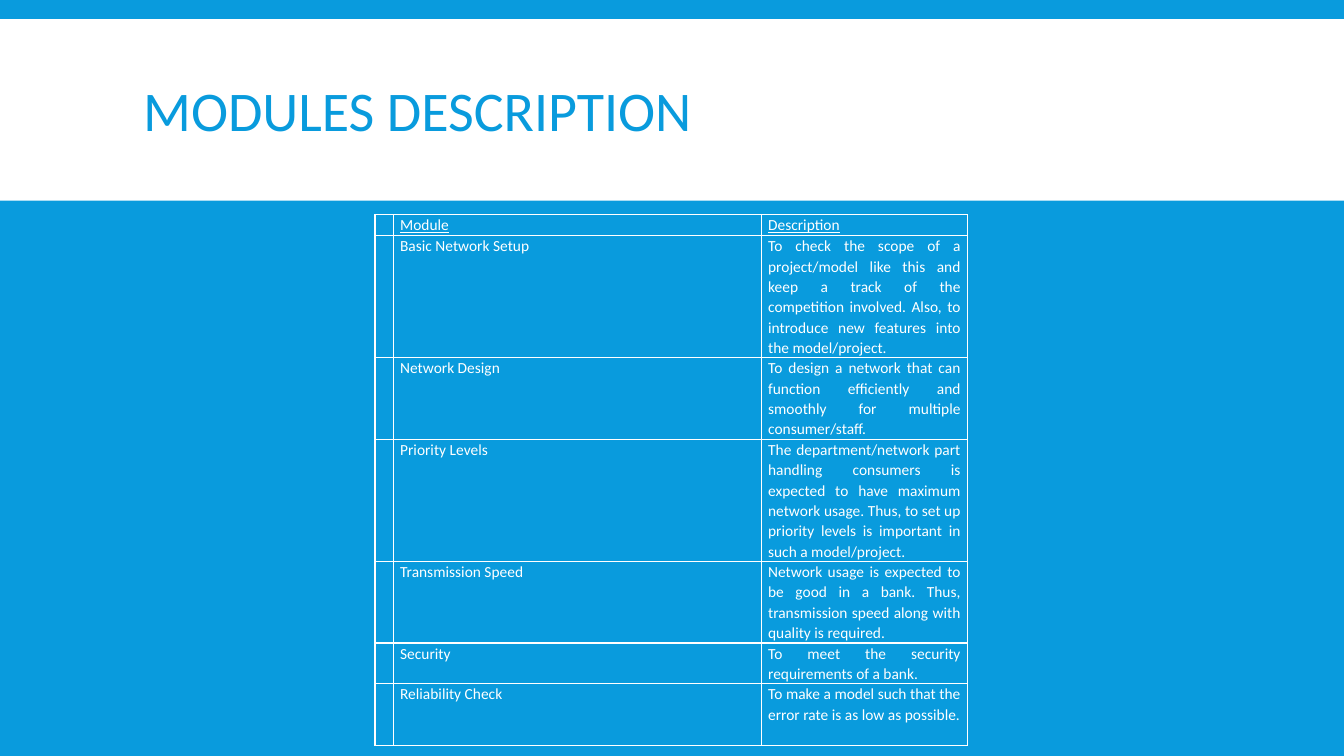
from lxml import etree
from pptx import Presentation
from pptx.dml.color import RGBColor
from pptx.enum.shapes import MSO_SHAPE
from pptx.enum.text import MSO_ANCHOR, PP_ALIGN
from pptx.oxml.ns import qn
from pptx.util import Inches, Pt

RECTANGLE = MSO_SHAPE.RECTANGLE
MIDDLE = MSO_ANCHOR.MIDDLE
LEFT, JUSTIFY = PP_ALIGN.LEFT, PP_ALIGN.JUSTIFY
BLUE = RGBColor(0x09, 0x9B, 0xDD)
WHITE = RGBColor(0xFF, 0xFF, 0xFF)
FONT = "Calibri"
BODY_SIZE = 11

COLUMN_WIDTHS = [0.16, 3.65, 2.05]
ROW_HEIGHTS = [0.21, 1.21, 0.81, 1.21, 0.81, 0.4, 0.61]
MODULES = [
    ("Module", "Description"),
    ("Basic Network Setup",
     "To check the scope of a project/model like this and keep a track of the "
     "competition involved. Also, to introduce new features into the model/project."),
    ("Network Design",
     "To design a network that can function efficiently and smoothly for multiple "
     "consumer/staff."),
    ("Priority Levels",
     "The department/network part handling consumers is expected to have maximum "
     "network usage. Thus, to set up priority levels is important in such a "
     "model/project."),
    ("Transmission Speed",
     "Network usage is expected to be good in a bank. Thus, transmission speed along "
     "with quality is required."),
    ("Security", "To meet the security requirements of a bank."),
    ("Reliability Check",
     "To make a model such that the error rate is as low as possible."),
]


def write_text(frame, text, size=BODY_SIZE, color=WHITE, align=JUSTIFY,
               spacing=1.07, underline=False):
    para = frame.paragraphs[0]
    para.alignment = align
    para.line_spacing = spacing
    if not text:
        # An empty cell still needs a small size, so that its row stays low
        etree.SubElement(para._p, qn("a:endParaRPr"), sz=str(size * 100))
        return
    span = para.add_run()
    span.text = text
    span.font.name = FONT
    span.font.size = Pt(size)
    span.font.color.rgb = color
    span.font.underline = underline


class SlideBuilder:
    def __init__(self, deck, background):
        self.page = deck.slides.add_slide(deck.slide_layouts[5])
        self.page.background.fill.solid()
        self.page.background.fill.fore_color.rgb = background

    def band(self, left, top, width, height, color):
        box = self.page.shapes.add_shape(
            RECTANGLE, Inches(left), Inches(top), Inches(width), Inches(height))
        box.shadow.inherit = False
        box.fill.solid()
        box.fill.fore_color.rgb = color
        box.line.fill.background()
        # Place the band behind the title
        self.page.shapes._spTree.insert(2, box._element)

    def title(self, text, left, top, width, height):
        box = self.page.shapes.title
        box.left, box.top = Inches(left), Inches(top)
        box.width, box.height = Inches(width), Inches(height)
        box.text_frame.word_wrap = True
        box.text_frame.vertical_anchor = MIDDLE
        write_text(box.text_frame, text, size=40, color=BLUE, align=LEFT, spacing=0.85)

    def table(self, left, top, widths, heights, rows):
        table = self.page.shapes.add_table(
            len(heights), len(widths), Inches(left), Inches(top),
            Inches(sum(widths)), Inches(sum(heights))).table
        table.first_row = table.horz_banding = False
        for column, width in zip(table.columns, widths):
            column.width = Inches(width)
        for index, (row, height, texts) in enumerate(zip(table.rows, heights, rows)):
            row.height = Inches(height)
            for cell, text in zip(row.cells, ("", *texts)):
                cell.margin_left = cell.margin_right = Inches(0.07)
                cell.margin_top = cell.margin_bottom = 0
                cell.fill.background()
                self.borders(cell, WHITE, 1)
                write_text(cell.text_frame, text, underline=index == 0)

    def borders(self, cell, color, width):
        properties = cell._tc.get_or_add_tcPr()
        for index, side in enumerate(("lnL", "lnR", "lnT", "lnB")):
            line = etree.Element(qn(f"a:{side}"), w=str(Pt(width)))
            fill = etree.SubElement(line, qn("a:solidFill"))
            etree.SubElement(fill, qn("a:srgbClr"), val=str(color))
            properties.insert(index, line)


def main():
    deck = Presentation()
    deck.slide_width, deck.slide_height = Inches(13.33), Inches(7.5)
    builder = SlideBuilder(deck, BLUE)

    # Heading
    builder.band(0, 0.19, 13.33, 1.8, WHITE)
    builder.title("MODULES DESCRIPTION", 1.32, 0.31, 10.7, 1.65)

    # Module table
    builder.table(3.72, 2.13, COLUMN_WIDTHS, ROW_HEIGHTS, MODULES)

    deck.save("out.pptx")


if __name__ == "__main__":
    main()
